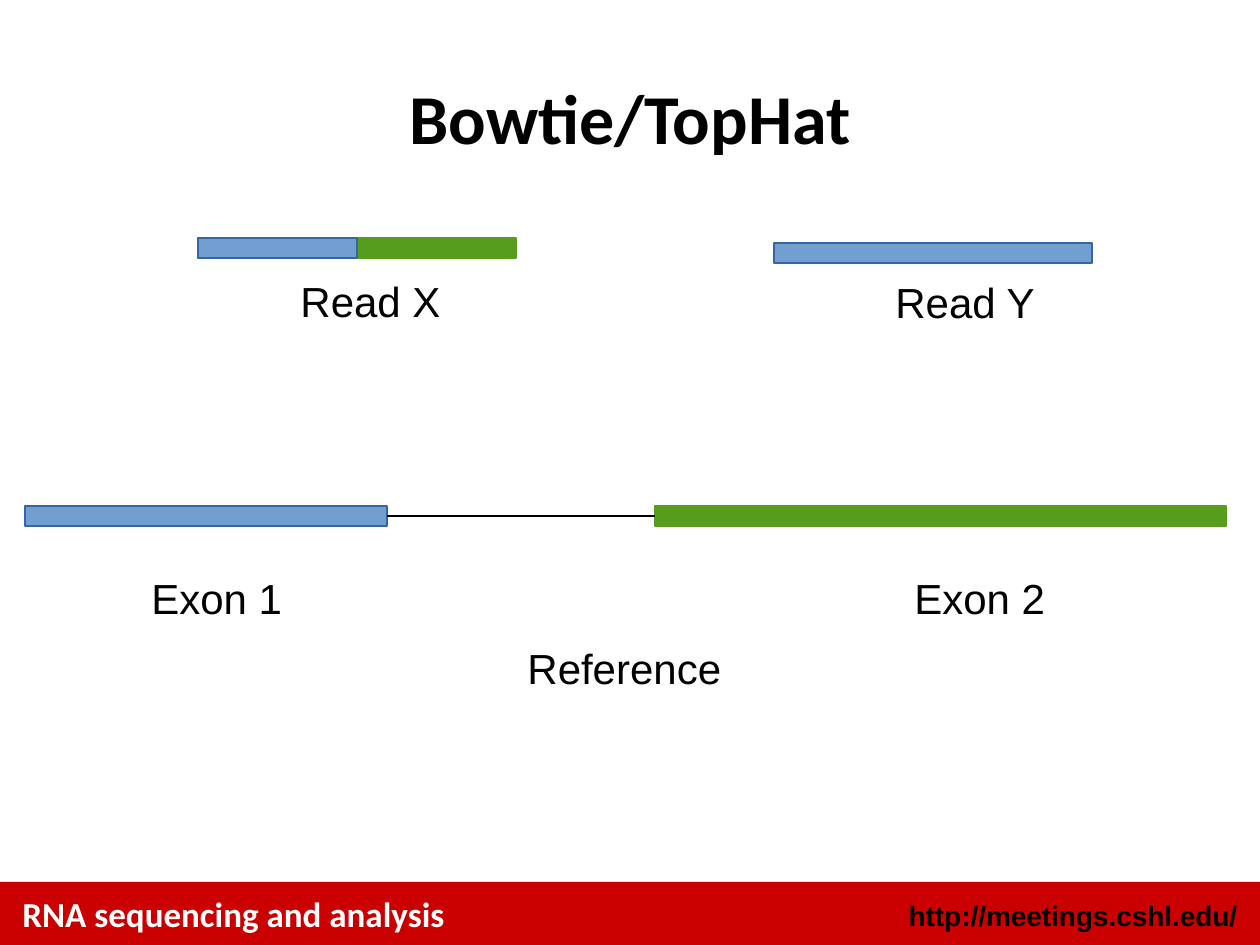
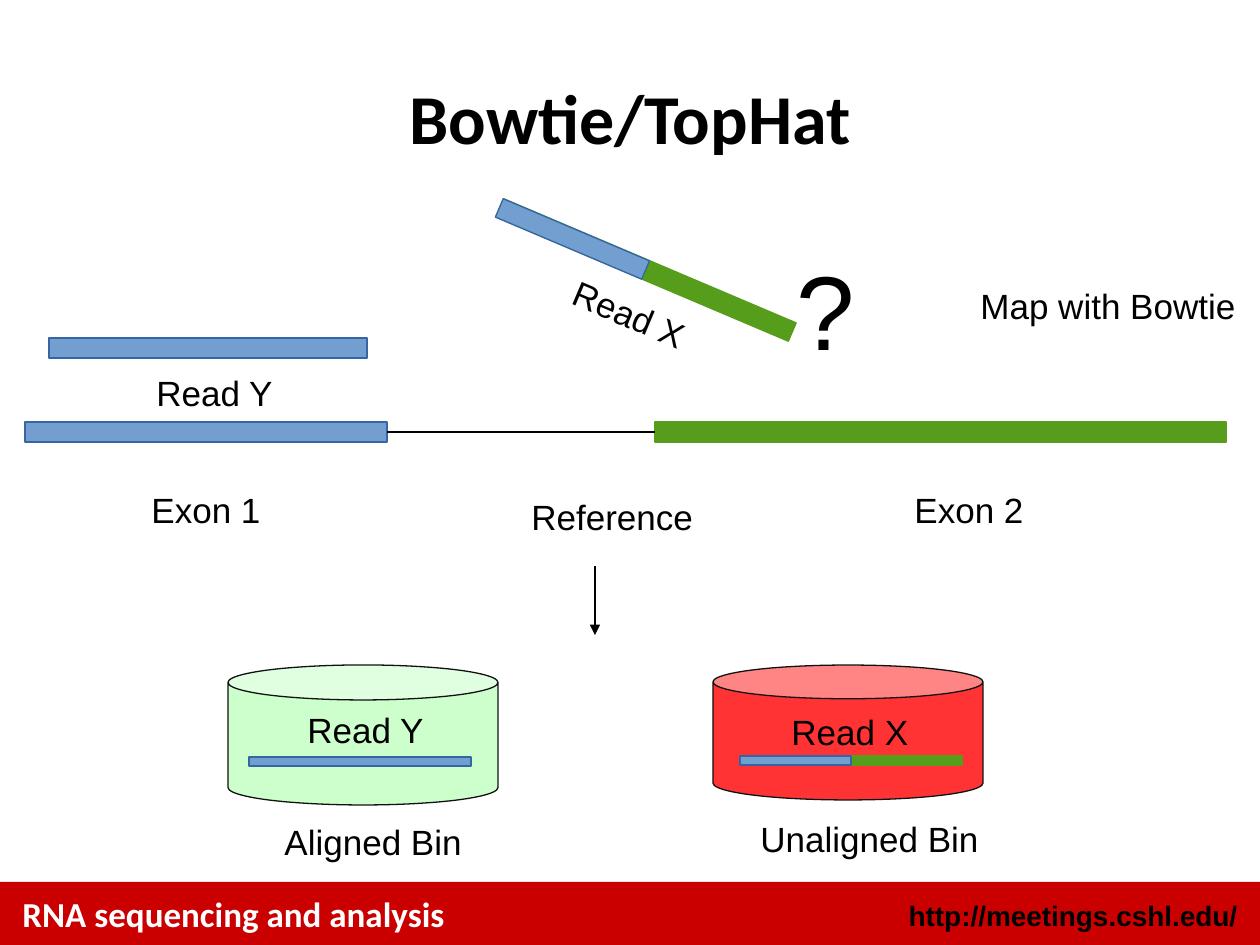
import math
from dataclasses import dataclass

import lxml.etree
import pptx
import pptx.dml.color
import pptx.enum.shapes
import pptx.enum.text
import pptx.oxml.ns
import pptx.shapes.autoshape
import pptx.shapes.connector
import pptx.slide
import pptx.util

PIXELS_PER_INCH = 126
SLIDE_WIDTH, SLIDE_HEIGHT = 1260, 945
BAR_HEIGHT = 20
READ_WIDTH = 318


# Theme and element descriptions
@dataclass(frozen=True)
class Theme:
    black: str = "000000"
    white: str = "FFFFFF"
    band: str = "CA0000"
    blue: str = "729FCF"
    blue_edge: str = "3465A4"
    green: str = "579D1C"
    aligned: str = "CCFFCC"
    unaligned: str = "FF3333"
    bin_edge: str = "111111"
    heading_font: str = "Calibri"
    body_font: str = "Arial"
    title_size: int = 40
    footer_size: int = 20
    link_size: int = 16
    large_label: int = 24
    label: int = 20
    question: int = 60
    line_width: float = 0.75


THEME = Theme()


@dataclass(frozen=True)
class Box:
    left: int
    top: int
    width: int
    height: int


@dataclass(frozen=True)
class Label:
    text: str
    left: int
    top: int
    width: int = 180
    height: int = 48
    size: int = THEME.label
    rotation: int = 0


@dataclass(frozen=True)
class Read:
    box: Box
    spliced: bool = False
    rotation: int = 0


@dataclass(frozen=True)
class Bin:
    box: Box
    fill: str
    read: Read


# Drawing helpers
def px(length: int) -> pptx.util.Emu:
    return pptx.util.Emu(round(length * 914400 / PIXELS_PER_INCH))


def lengths(box: Box) -> tuple[pptx.util.Emu, ...]:
    return px(box.left), px(box.top), px(box.width), px(box.height)


def rgb(color: str) -> pptx.dml.color.RGBColor:
    return pptx.dml.color.RGBColor.from_string(color)


def write(shape: pptx.shapes.autoshape.Shape, text: str, size: int,
          color: str = THEME.black, font_name: str = THEME.body_font,
          bold: bool = False,
          align: pptx.enum.text.PP_ALIGN = pptx.enum.text.PP_ALIGN.LEFT) -> None:
    shape.text_frame.text = text
    shape.text_frame.word_wrap = True
    paragraph = shape.text_frame.paragraphs[0]
    paragraph.alignment = align
    font = paragraph.runs[0].font
    font.name, font.size, font.bold = font_name, pptx.util.Pt(size), bold
    font.color.rgb = rgb(color)


def draw_shape(slide: pptx.slide.Slide, box: Box, fill: str, edge: str | None,
               kind: pptx.enum.shapes.MSO_SHAPE = pptx.enum.shapes.MSO_SHAPE.RECTANGLE,
               rotation: int = 0) -> pptx.shapes.autoshape.Shape:
    shape = slide.shapes.add_shape(kind, *lengths(box))
    shape.shadow.inherit = False
    shape.rotation = rotation
    shape.fill.solid()
    shape.fill.fore_color.rgb = rgb(fill)
    if edge:
        shape.line.color.rgb = rgb(edge)
        shape.line.width = pptx.util.Pt(THEME.line_width)
    else:
        shape.line.fill.background()
    return shape


def draw_label(slide: pptx.slide.Slide, label: Label) -> None:
    box = Box(label.left, label.top, label.width, label.height)
    shape = slide.shapes.add_textbox(*lengths(box))
    shape.rotation = label.rotation
    write(shape, label.text, label.size)
    # The top inset grows with large type
    shape.text_frame.margin_top = px(13 if label.size == THEME.question else 8)


def draw_line(slide: pptx.slide.Slide, start: tuple[int, int], end: tuple[int, int],
              arrow: bool = False) -> pptx.shapes.connector.Connector:
    line = slide.shapes.add_connector(
        pptx.enum.shapes.MSO_CONNECTOR.STRAIGHT, *map(px, start + end))
    line.line.color.rgb = rgb(THEME.black)
    line.line.width = pptx.util.Pt(THEME.line_width)
    if arrow:
        outline = line.line._get_or_add_ln()
        lxml.etree.SubElement(outline, pptx.oxml.ns.qn("a:tailEnd"), type="triangle")
    lxml.etree.SubElement(line.element.spPr, pptx.oxml.ns.qn("a:effectLst"))
    return line


def draw_read(slide: pptx.slide.Slide, read: Read) -> None:
    box = read.box
    if not read.spliced:
        draw_shape(slide, box, THEME.blue, THEME.blue_edge, rotation=read.rotation)
        return
    # The blue half lies a quarter of the length back along the turned read
    draw_shape(slide, box, THEME.green, THEME.green, rotation=read.rotation)
    angle = math.radians(read.rotation)
    quarter = box.width / 4
    left = round(box.left + quarter - quarter * math.cos(angle))
    top = round(box.top - quarter * math.sin(angle))
    half = Box(left, top, box.width // 2, box.height)
    draw_shape(slide, half, THEME.blue, THEME.blue_edge, rotation=read.rotation)


def draw_reference(slide: pptx.slide.Slide, top: int, size: int) -> None:
    exon_1 = Box(25, top, 362, BAR_HEIGHT)
    exon_2 = Box(655, top, 571, BAR_HEIGHT)
    draw_shape(slide, exon_1, THEME.blue, THEME.blue_edge)
    draw_shape(slide, exon_2, THEME.green, THEME.green)
    middle = top + BAR_HEIGHT // 2
    draw_line(slide, (exon_1.left + exon_1.width, middle), (exon_2.left, middle))
    for text, left in (("Exon 1", 139), ("Exon 2", 902)):
        draw_label(slide, Label(text, left, top + 59, size=size))


def draw_bin(slide: pptx.slide.Slide, item: Bin) -> None:
    draw_shape(slide, item.box, item.fill, THEME.bin_edge,
               pptx.enum.shapes.MSO_SHAPE.CAN)
    draw_read(slide, item.read)


# Shared parts: layout band, footer texts and title
def add_footer(slide: pptx.slide.Slide) -> None:
    band = draw_shape(slide, Box(0, 882, SLIDE_WIDTH, 63), THEME.band, None)
    course = slide.shapes.add_textbox(*lengths(Box(10, 886, 824, 54)))
    write(course, "RNA sequencing and analysis", THEME.footer_size, THEME.white,
          THEME.heading_font, bold=True)
    link = slide.shapes.add_textbox(*lengths(Box(850, 892, 400, 47)))
    write(link, "http://meetings.cshl.edu/", THEME.link_size, bold=True,
          align=pptx.enum.text.PP_ALIGN.RIGHT)
    # Moving the parts to the layout shows them on every slide
    for shape in (band, course, link):
        slide.slide_layout.shapes.element.append(shape.element)


def add_slide(presentation: pptx.presentation.Presentation) -> pptx.slide.Slide:
    slide = presentation.slides.add_slide(presentation.slide_layouts[5])
    title = slide.shapes.title
    title.left, title.top, title.width, title.height = lengths(Box(21, 38, 1218, 158))
    write(title, "Bowtie/TopHat", THEME.title_size, font_name=THEME.heading_font,
          bold=True, align=pptx.enum.text.PP_ALIGN.CENTER)
    title.text_frame.vertical_anchor = pptx.enum.text.MSO_ANCHOR.MIDDLE
    return slide


# Slides
def build_reads_slide(slide: pptx.slide.Slide) -> None:
    draw_read(slide, Read(Box(774, 243, READ_WIDTH, BAR_HEIGHT)))
    draw_read(slide, Read(Box(198, 238, READ_WIDTH, BAR_HEIGHT), spliced=True))
    draw_reference(slide, 506, THEME.large_label)
    for text, left, top in (("Read X", 288, 268), ("Read Y", 883, 269),
                            ("Reference", 515, 635)):
        draw_label(slide, Label(text, left, top, width=230, size=THEME.large_label))


def build_mapping_slide(slide: pptx.slide.Slide) -> None:
    tilt = 23
    draw_read(slide, Read(Box(49, 338, READ_WIDTH, BAR_HEIGHT)))
    draw_read(slide, Read(Box(487, 260, READ_WIDTH, BAR_HEIGHT), True, tilt))
    draw_reference(slide, 422, THEME.label)
    draw_bin(slide, Bin(Box(713, 665, 270, 135), THEME.unaligned,
                        Read(Box(740, 756, 222, 9), spliced=True)))
    draw_bin(slide, Bin(Box(228, 665, 270, 140), THEME.aligned,
                        Read(Box(249, 757, 222, 9))))
    labels = (
        Label("Read X", 560, 287, width=150, rotation=tilt),
        Label("Read Y", 144, 364),
        Label("Reference", 519, 488, width=200),
        Label("?", 784, 233, width=90, height=141, size=THEME.question),
        Label("Map with Bowtie", 968, 277, width=288),
        Label("Read X", 779, 703),
        Label("Read Y", 295, 701),
        Label("Aligned Bin", 272, 813, width=297),
        Label("Unaligned Bin", 748, 810, width=312),
    )
    for label in labels:
        draw_label(slide, label)
    draw_line(slide, (595, 566), (595, 635), arrow=True)


def main() -> None:
    presentation = pptx.Presentation()
    presentation.slide_width = px(SLIDE_WIDTH)
    presentation.slide_height = px(SLIDE_HEIGHT)
    reads_slide = add_slide(presentation)
    add_footer(reads_slide)
    build_reads_slide(reads_slide)
    build_mapping_slide(add_slide(presentation))
    presentation.save("out.pptx")


if __name__ == "__main__":
    main()
